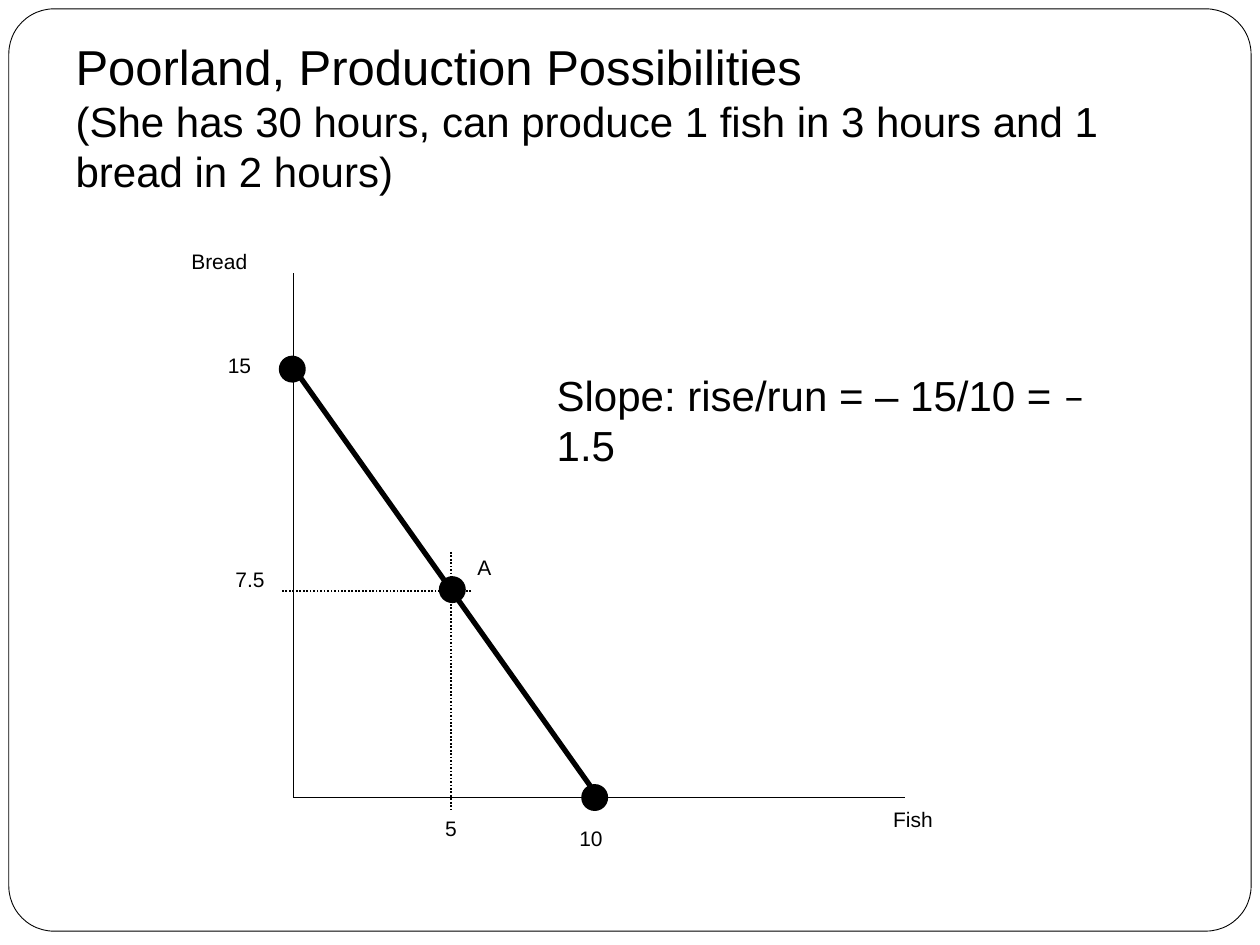
from pptx import Presentation
from pptx.dml.color import RGBColor
from pptx.enum.dml import MSO_LINE
from pptx.enum.shapes import MSO_CONNECTOR, MSO_SHAPE
from pptx.enum.text import MSO_ANCHOR, PP_ALIGN
from pptx.oxml.ns import qn
from pptx.util import Inches, Pt
from lxml import etree

LINE, OVAL = MSO_CONNECTOR.STRAIGHT, MSO_SHAPE.OVAL
ROUND, DOTTED = MSO_SHAPE.ROUNDED_RECTANGLE, MSO_LINE.ROUND_DOT
LEFT, CENTER = PP_ALIGN.LEFT, PP_ALIGN.CENTER
BLACK, WHITE = "000000", "FFFFFF"


def rgb(code):
    return RGBColor.from_string(code)


def style(par, size, align=LEFT):
    par.alignment = align
    par.font.size = Pt(size)
    par.font.name = "Arial"
    par.font.color.rgb = rgb(BLACK)


prs = Presentation()
prs.slide_width, prs.slide_height = Inches(10), Inches(7.5)
slide = prs.slides.add_slide(prs.slide_layouts[5])
shapes = slide.shapes

# Rounded frame, behind everything
frame = shapes.add_shape(ROUND, *map(Inches, (0.07, 0.07, 9.86, 7.32)))
frame.adjustments[0] = 0.049
frame.shadow.inherit = False
frame.fill.solid()
frame.fill.fore_color.rgb = rgb(WHITE)
frame.line.color.rgb = rgb(BLACK)
frame.line.width = Pt(0.5)
shapes.title._element.addprevious(frame._element)

# Title with a smaller second part
title = shapes.title
title.left, title.top, title.width, title.height = map(Inches, (0.5, 0.3, 9, 1.25))
title.text_frame.vertical_anchor = MSO_ANCHOR.MIDDLE
par = title.text_frame.paragraphs[0]
style(par, 24)
head = par.add_run()
head.text = "Poorland, Production Possibilities"
head.font.size = Pt(28)
par.add_line_break()
par.add_run().text = "(She has 30 hours, can produce 1 fish in 3 hours and 1 bread in 2 hours)"

# Axes, frontier and guides, in inches from the left and top
x0, y0 = 2.33, 6.33
xa, ya = 3.58, 4.69
lines = [
    (x0, 2.17, x0, y0, 1, None),
    (x0, y0, 7.18, y0, 1, None),
    (x0, 2.92, 4.75, y0, 3, None),
    (xa, 4.38, xa, 6.43, 1, DOTTED),
    (3.74, ya, 2.24, ya, 1, DOTTED),
]
for *ends, width, dash in lines:
    line = shapes.add_connector(LINE, *map(Inches, ends))
    line.line.color.rgb = rgb(BLACK)
    line.line.width = Pt(width)
    if dash:
        line.line.dash_style = dash
    etree.SubElement(line._element.spPr, qn("a:effectLst"))

# Points on the frontier
size = 0.2
for x, y in [(2.32, 2.93), (3.59, 4.68), (4.72, y0)]:
    dot = shapes.add_shape(OVAL, *map(Inches, (x - size / 2, y - size / 2, size, size)))
    dot.shadow.inherit = False
    dot.fill.solid()
    dot.fill.fore_color.rgb = rgb(BLACK)
    dot.line.color.rgb = rgb(BLACK)
    dot.line.width = Pt(1)

# Axis and point labels
labels = [
    ("Bread", 1.42, 1.92, 0.8, LEFT),
    ("15", 1.71, 2.75, 0.46, LEFT),
    ("7.5", 1.77, 4.45, 0.52, LEFT),
    ("A", 3.69, 4.35, 0.44, LEFT),
    ("5", 3.26, 6.42, 0.64, CENTER),
    ("10", 4.5, 6.5, 0.46, LEFT),
    ("Fish", 6.99, 6.35, 0.61, LEFT),
]
for text, x, y, width, align in labels:
    box = shapes.add_textbox(*map(Inches, (x, y, width, 0.4)))
    box.text_frame.word_wrap = False
    par = box.text_frame.paragraphs[0]
    par.text = text
    style(par, 12, align)

# Slope note
note = shapes.add_textbox(*map(Inches, (4.32, 2.88, 4.5, 0.5)))
note.text_frame.word_wrap = True
par = note.text_frame.paragraphs[0]
style(par, 24)
par.add_run().text = "Slope: rise/run = ‒ 15/10 = "
minus = par.add_run()
minus.text = "‒"
minus.font.name = "Calibri"
par.add_run().text = "1.5"

prs.save("out.pptx")
